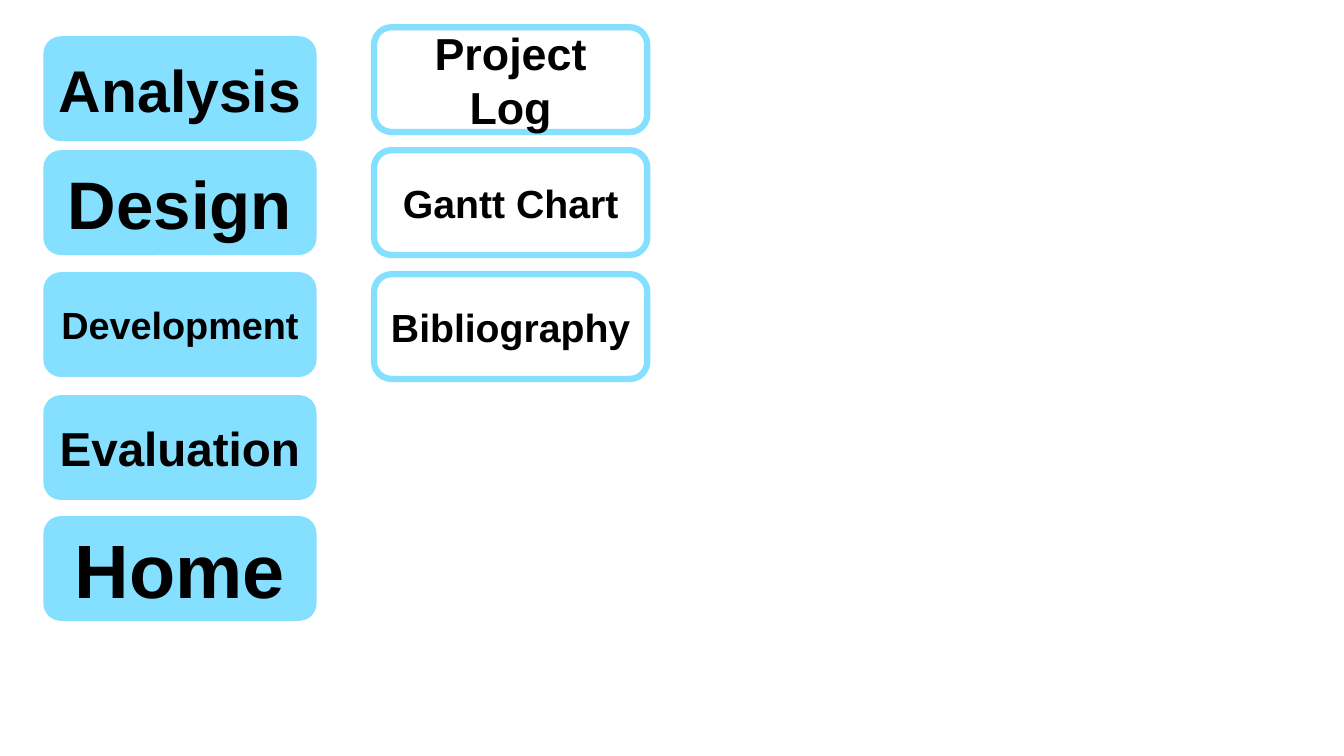
from lxml import etree
from pptx import Presentation
from pptx.dml.color import RGBColor
from pptx.enum.shapes import MSO_SHAPE
from pptx.enum.text import MSO_ANCHOR, PP_ALIGN
from pptx.oxml import parse_xml
from pptx.oxml.ns import nsdecls
from pptx.util import Inches, Pt

STAGES = [
    ("Analysis", 42, 0.36),
    ("Design", 48, 1.49),
    ("Development", 27, 2.7),
    ("Evaluation", 34, 3.92),
    ("Home", 54, 5.12),
]
DOCUMENTS = [
    ("Project Log", 32, 0.27),
    ("Gantt Chart", 28, 1.49),
    ("Bibliography", 28, 2.72),
]

ROUNDED = MSO_SHAPE.ROUNDED_RECTANGLE
MIDDLE = MSO_ANCHOR.MIDDLE
CENTER = PP_ALIGN.CENTER
SKY = RGBColor(0x85, 0xDF, 0xFF)
WHITE = RGBColor(0xFF, 0xFF, 0xFF)
BLACK = RGBColor(0x00, 0x00, 0x00)

COLUMNS = [
    (0.43, STAGES, SKY, None),
    (3.71, DOCUMENTS, WHITE, SKY),
]
BUTTON_W, BUTTON_H = 2.71, 1.04
BORDER_PT = 4.5
TEXT_OUTLINE_PT = 0.75


def outline_text(r):
    ln = parse_xml(f'<a:ln {nsdecls("a")} w="{Pt(TEXT_OUTLINE_PT)}"/>')
    fill = etree.SubElement(ln, ln.tag.replace("}ln", "}solidFill"))
    etree.SubElement(fill, ln.tag.replace("}ln", "}srgbClr"), val=str(BLACK))
    r.font._element.insert(0, ln)


def add_button(s, text, size, left, top, fill, border):
    sp = s.shapes.add_shape(ROUNDED, Inches(left), Inches(top),
                            Inches(BUTTON_W), Inches(BUTTON_H))
    sp.shadow.inherit = False
    sp.fill.solid()
    sp.fill.fore_color.rgb = fill
    if border is None:
        sp.line.fill.background()
    else:
        sp.line.color.rgb = border
        sp.line.width = Pt(BORDER_PT)
    tf = sp.text_frame
    tf.word_wrap = True
    tf.vertical_anchor = MIDDLE
    p = tf.paragraphs[0]
    p.alignment = CENTER
    r = p.add_run()
    r.text = text
    for name, value in {"name": "Arial", "size": Pt(size), "bold": True}.items():
        setattr(r.font, name, value)
    r.font.color.rgb = BLACK
    outline_text(r)


def main():
    prs = Presentation()
    prs.slide_width, prs.slide_height = Inches(13.33), Inches(7.5)
    s = prs.slides.add_slide(prs.slide_layouts[6])
    for left, buttons, fill, border in COLUMNS:
        for text, size, top in buttons:
            add_button(s, text, size, left, top, fill, border)
    prs.save("out.pptx")


if __name__ == "__main__":
    main()
